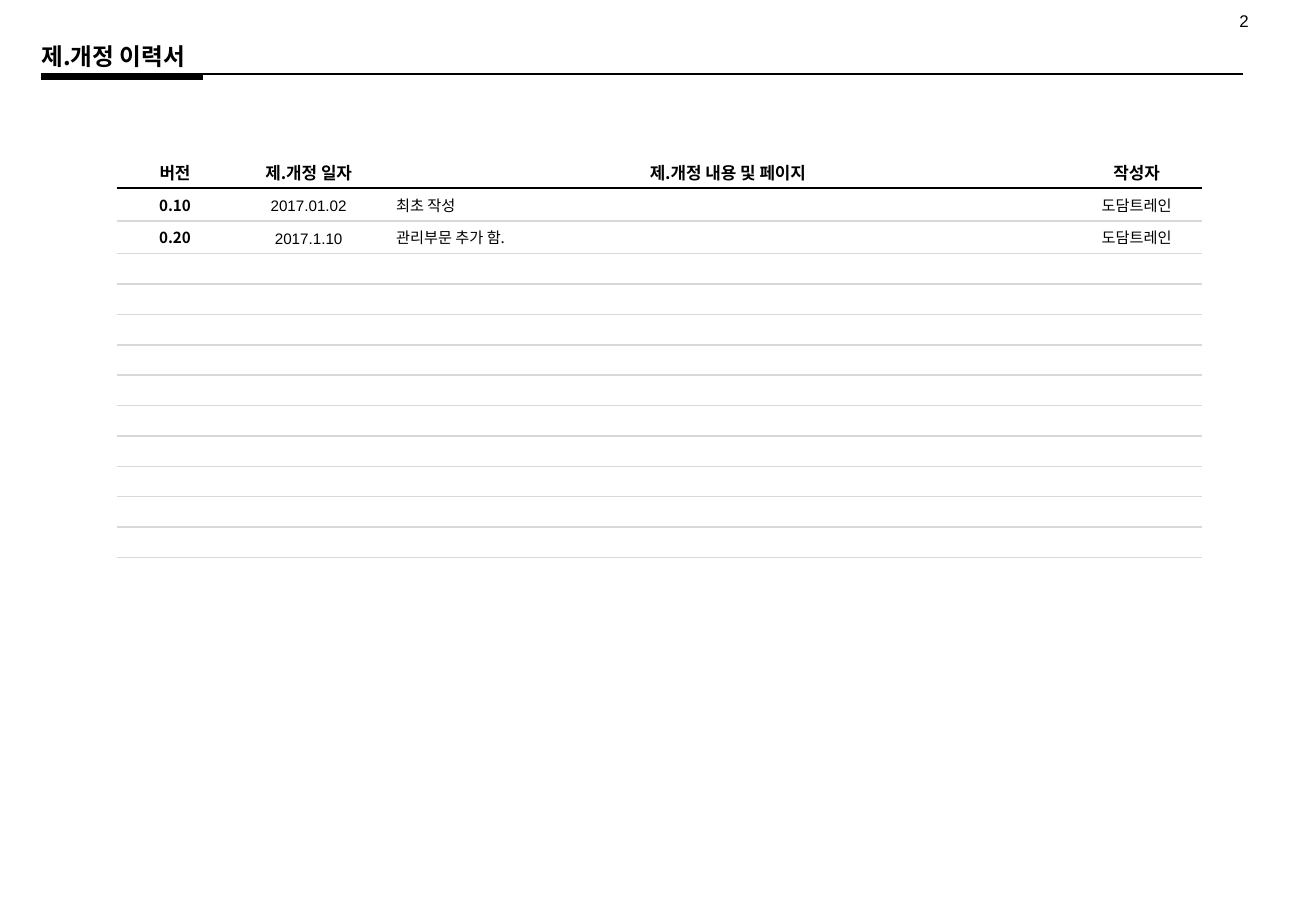
from lxml import etree
from pptx import Presentation
from pptx.dml.color import RGBColor
from pptx.enum.text import MSO_ANCHOR, PP_ALIGN
from pptx.oxml.ns import qn
from pptx.util import Inches, Pt

LEFT, CENTER = PP_ALIGN.LEFT, PP_ALIGN.CENTER
MIDDLE = MSO_ANCHOR.MIDDLE
COLORS = {"ink": "000000", "rule": "D9D9D9"}
SANS, LATIN = "Noto Sans CJK KR", "Arial"
EDGE = 0.34


def write(para, text, size, bold=False, face=SANS, align=LEFT):
    para.alignment = align
    run = para.add_run()
    run.text = text
    font = run.font
    font.size, font.bold, font.name = Pt(size), bold, face
    font.color.rgb = RGBColor.from_string(COLORS["ink"])
    etree.SubElement(font._element, qn("a:ea")).set("typeface", face)


def border(cell, lines):
    """Set the cell's borders from (side, colour, points); no colour hides one."""
    props = cell._tc.get_or_add_tcPr()
    for place, (side, color, width) in enumerate(lines):
        line = etree.Element(qn("a:ln" + side), w=str(Pt(width)))
        if color:
            fill = etree.SubElement(line, qn("a:solidFill"))
            etree.SubElement(fill, qn("a:srgbClr")).set("val", COLORS[color])
        else:
            etree.SubElement(line, qn("a:noFill"))
        props.insert(place, line)


deck = Presentation()
deck.slide_width, deck.slide_height = Inches(10.83), Inches(7.5)
slide = deck.slides.add_slide(deck.slide_layouts[5])

# Title
title = slide.shapes.title
title.left, title.top = Inches(EDGE), Inches(0.31)
title.width, title.height = Inches(10.16), Inches(0.3)
frame = title.text_frame
frame.margin_left = frame.margin_right = frame.margin_top = frame.margin_bottom = 0
frame.vertical_anchor = MIDDLE
frame.word_wrap = True
write(frame.paragraphs[0], "제.개정 이력서", 14, True)

# Page number
page = slide.shapes.add_textbox(Inches(10.1), Inches(0.04), Inches(0.38), Inches(0.27))
write(page.text_frame.paragraphs[0], "2", 10, face=LATIN)

# Title rules
for right, y, width in [(10.23, 0.61, 1), (1.67, 0.64, 3)]:
    rule = slide.shapes.add_connector(1, Inches(EDGE), Inches(y), Inches(right), Inches(y))
    rule.line.color.rgb = RGBColor.from_string(COLORS["ink"])
    rule.line.width = Pt(width)
    etree.SubElement(rule._element.spPr, qn("a:effectLst"))

# Revision table
HEADS = ["버전", "제.개정 일자", "제.개정 내용 및 페이지", "작성자"]
ENTRIES = [
    ["0.10", "2017.01.02", "최초 작성", "도담트레인"],
    ["0.20", "2017.1.10", "관리부문 추가 함.", "도담트레인"],
]
BLANKS = 10
COLS = [0.96, 1.24, 5.66, 1.07]
ROWS = [0.27] * (1 + len(ENTRIES)) + [0.25] * BLANKS
rows = [HEADS] + ENTRIES + [[""] * len(COLS)] * BLANKS

table = slide.shapes.add_table(len(ROWS), len(COLS), Inches(0.96), Inches(1.28),
                               Inches(sum(COLS)), Inches(sum(ROWS))).table
table.first_row = table.horz_banding = False
for col, width in zip(table.columns, COLS):
    col.width = Inches(width)

for r, texts in enumerate(rows):
    table.rows[r].height = Inches(ROWS[r])
    top = [("T", None, 1), ("T", "ink", 1.5)][r] if r < 2 else ("T", "rule", 1)
    base = ("B", "rule", 1) if r else ("B", "ink", 1.5)
    for c, text in enumerate(texts):
        cell = table.cell(r, c)
        cell.margin_top = cell.margin_bottom = 0
        cell.vertical_anchor = MIDDLE
        cell.fill.background()
        border(cell, [("L", None, 1), ("R", None, 1), top, base])
        para = cell.text_frame.paragraphs[0]
        if not text:
            etree.SubElement(para._p, qn("a:endParaRPr")).set("sz", "900")
            continue
        head, date = r == 0, r > 0 and c == 1
        write(para, text, 10 if head else 9, head or c == 0,
              LATIN if date else SANS, LEFT if c == 2 and not head else CENTER)
        if date:
            para.line_spacing = Pt(12)

deck.save("out.pptx")
